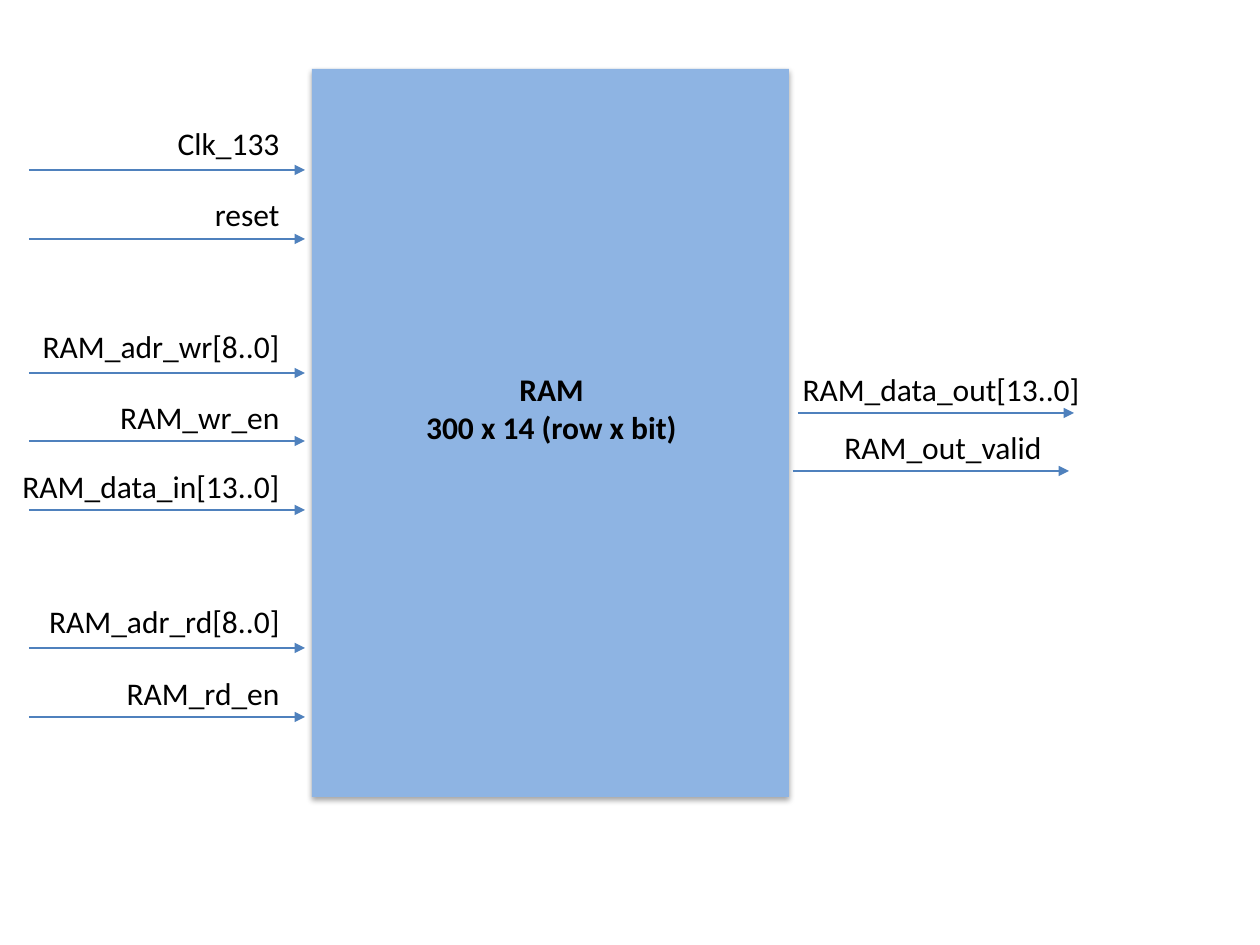
"""Builds a one-slide block diagram of a RAM with its input and output signals."""
from dataclasses import dataclass

import lxml.etree
import pptx
import pptx.dml.color
import pptx.enum.shapes
import pptx.enum.text
import pptx.oxml
import pptx.oxml.ns
import pptx.util

EMU_PER_PIXEL = 914400 / 126
ALIGN = pptx.enum.text.PP_ALIGN


@dataclass(frozen=True)
class Theme:
    """Colours, font and sizes of the slide."""
    font: str = "Calibri"
    text_size: int = 18
    line_width: float = 0.75
    text: str = "000000"
    block: str = "8EB4E3"
    arrow: str = "4F81BD"
    shadow: str = "000000"


THEME = Theme()

ARROW_LENGTH = 276
LABEL_HEIGHT = 50

# name, label left, label top, label width, arrow start x, arrow y
INPUTS = [
    ("Clk_133", 15, 118, 277, 29, 170),
    ("reset", 15, 189, 277, 29, 239),
    ("RAM_adr_wr[8..0]", 15, 321, 277, 29, 373),
    ("RAM_wr_en", 15, 392, 277, 29, 441),
    ("RAM_data_in[13..0]", 0, 461, 292, 29, 510),
    ("RAM_adr_rd[8..0]", 15, 596, 277, 29, 648),
    ("RAM_rd_en", 15, 668, 277, 29, 717),
]
OUTPUTS = [
    ("RAM_data_out[13..0]", 787, 364, 305, 798, 413),
    ("RAM_out_valid", 777, 422, 277, 793, 471),
]


def px(*lengths):
    """Turn pixel lengths into EMU."""
    return [pptx.util.Emu(round(length * EMU_PER_PIXEL)) for length in lengths]


def rgb(value):
    """Make a colour from its hex digits."""
    return pptx.dml.color.RGBColor.from_string(value)


def add_text(page, bounds, lines, align, bold=False):
    """Add a text box with one paragraph per line."""
    box = page.shapes.add_textbox(*px(*bounds))
    frame = box.text_frame
    frame.word_wrap = True
    frame.text = "\n".join(lines)
    for para in frame.paragraphs:
        para.alignment = align
        para.font.name = THEME.font
        para.font.size = pptx.util.Pt(THEME.text_size)
        para.font.bold = bold
        para.font.color.rgb = rgb(THEME.text)


def add_block(page, bounds):
    """Add the filled rectangle with a soft shadow below it."""
    kind = pptx.enum.shapes.MSO_SHAPE.RECTANGLE
    block = page.shapes.add_shape(kind, *px(*bounds))
    block.fill.solid()
    block.fill.fore_color.rgb = rgb(THEME.block)
    block.line.fill.background()
    block.shadow.inherit = False
    effects = block._element.spPr.find(pptx.oxml.ns.qn("a:effectLst"))
    effects.append(pptx.oxml.parse_xml(
        f'<a:outerShdw {pptx.oxml.ns.nsdecls("a")} blurRad="40000" '
        'dist="23000" dir="5400000" rotWithShape="0">'
        f'<a:srgbClr val="{THEME.shadow}"><a:alpha val="35000"/></a:srgbClr>'
        '</a:outerShdw>'))


def add_arrow(page, left, y):
    """Add a horizontal arrow that points right."""
    kind = pptx.enum.shapes.MSO_CONNECTOR.STRAIGHT
    arrow = page.shapes.add_connector(kind, *px(left, y, left + ARROW_LENGTH, y))
    arrow.line.color.rgb = rgb(THEME.arrow)
    arrow.line.width = pptx.util.Pt(THEME.line_width)
    qn = pptx.oxml.ns.qn
    lxml.etree.SubElement(arrow.line._get_or_add_ln(), qn("a:tailEnd"), type="triangle")
    lxml.etree.SubElement(arrow._element.spPr, qn("a:effectLst"))


def add_signal(page, name, left, top, width, arrow_left, arrow_y):
    """Add a signal: its name above its arrow."""
    add_text(page, (left, top, width, LABEL_HEIGHT), [name], ALIGN.RIGHT)
    add_arrow(page, arrow_left, arrow_y)


def main():
    """Build and save the slide."""
    deck = pptx.Presentation()
    deck.slide_width, deck.slide_height = px(1260, 945)
    page = deck.slides.add_slide(deck.slide_layouts.get_by_name("Blank"))
    add_block(page, (312, 69, 477, 728))
    add_text(page, (413, 364, 277, 89), ["RAM", "300 x 14 (row x bit)"],
             ALIGN.CENTER, bold=True)
    for signal in INPUTS + OUTPUTS:
        add_signal(page, *signal)
    deck.save("out.pptx")


main()
